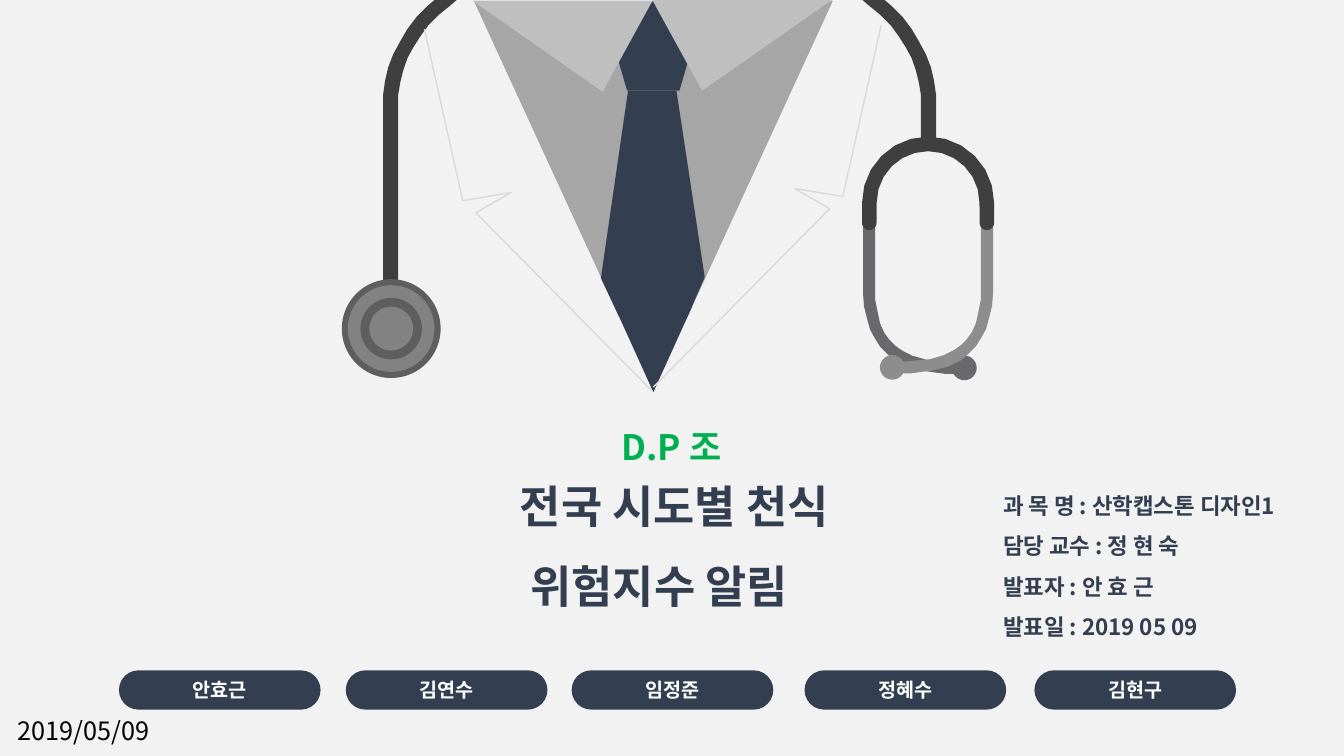
from dataclasses import dataclass
from math import cos, radians, sin

from lxml.etree import SubElement
from pptx import Presentation
from pptx.dml.color import RGBColor
from pptx.enum.shapes import MSO_SHAPE
from pptx.enum.text import MSO_ANCHOR, MSO_AUTO_SIZE, PP_ALIGN
from pptx.oxml.ns import qn
from pptx.shapes.autoshape import Shape
from pptx.shapes.shapetree import GroupShapes, SlideShapes
from pptx.text.text import TextFrame
from pptx.util import Inches, Pt

CELL = Inches(0.1)  # one column or row of the grid
FONT = "Noto Sans CJK KR"
COLOURS = {
    "background": "F2F2F2", "navy": "333F50", "shirt": "A6A6A6", "collar": "BFBFBF",
    "rubber": "3F3F3F", "rim": "5E5E5E", "metal": "828282", "dark steel": "69696B",
    "light steel": "8D8D8E", "seam": "D9D9D9", "green": "00B050", "white": "FFFFFF",
    "black": "000000",
}
Point = tuple[float, float]


@dataclass
class Box:
    column: float
    row: float
    columns: float
    rows: float


@dataclass
class Disc:
    column: float
    row: float
    diameter: float
    colour: str


@dataclass
class Triangle:
    box: Box
    apex: float
    colour: str


@dataclass
class TextBlock:
    box: Box
    text: str
    size: float
    colour: str
    bold: bool = True
    alignment: PP_ALIGN = PP_ALIGN.CENTER
    line_spacing: float = 1.5


CHEST_PIECE = [Disc(38.8, 32.6, 9.8, "rim"), Disc(38.8, 32.6, 8.6, "metal"),
               Disc(38.8, 32.6, 6.1, "rim"), Disc(38.8, 32.6, 4.35, "metal")]
SHIRT = Triangle(Box(47, 0.1, 35.6, 38.7), 0.5, "shirt")
LEFT_COLLAR = Triangle(Box(46.9, 0.1, 17.8, 9), 0.277, "collar")
RIGHT_COLLAR = Triangle(Box(64.7, 0, 17.8, 9), 0.723, "collar")
TIE_TIP = Triangle(Box(61, 30.5, 7.6, 8.4), 0.5, "navy")
TIE_KNOT = Box(60.6, 0.1, 8.4, 8.9)
TIE = [(62.3, 9), (67.1, 9), (69.9, 27.5), (68.2, 31.4), (61.4, 31.4), (59.6, 27.6)]
LAPEL = [(42.1, 2.9), (45.9, 19.9), (50.7, 19.1), (47.2, 21.1), (64.7, 38.8)]
TUBE_OUTER = [(38, 10), (38, 9.4), (38.2, 8), (38.5, 6.7), (39, 5.4), (39.7, 4.1),
              (40.4, 2.9), (41.3, 1.7), (42.4, 0.6), (43.1, 0)]
TUBE_INNER = [(45.3, 0), (44.6, 0.6), (43.5, 1.5), (42.5, 2.5), (41.7, 3.6), (41, 4.7),
              (40.4, 5.8), (40, 7), (39.7, 8.2), (39.5, 9.4), (39.5, 10)]
EAR_LEG = [(95.6, 37.1), (93.8, 37.1), (91.6, 36.8), (90, 36.4), (88.8, 35.8), (88.1, 35.2),
           (87.3, 34.4), (86.8, 33.6), (86.3, 32.7), (86, 31.6), (85.7, 30.4), (85.6, 29.1),
           (85.6, 22.1), (86.8, 22.1), (86.8, 29.7), (87.1, 31.2), (87.3, 32.1), (87.7, 33),
           (88.2, 33.7), (88.8, 34.3), (89.5, 34.8), (90.5, 35.3), (91.9, 35.7), (94.1, 35.9),
           (95.6, 35.9)]
TUBE_AXIS, EAR_AXIS, LAPEL_AXIS = 65.42, 92.05, 64.75

TITLE = TextBlock(Box(31.9, 44.3, 67, 17.2), "전국 시도별 천식\n위험지수 알림", 32, "navy")
TEAM = TextBlock(Box(57.4, 39.6, 18.4, 7.2), "D.P 조", 25, "green")
COURSE = TextBlock(
    Box(98.5, 47, 34, 23.2),
    "과 목 명 : 산학캡스톤 디자인1\n담당 교수 : 정 현 숙\n발표자 : 안 효 근\n발표일 : 2019 05 09",
    16, "navy", alignment=PP_ALIGN.LEFT)
DATE = TextBlock(Box(0.8, 70.5, 19.3, 4), "2019/05/09", 18, "black", False, PP_ALIGN.LEFT, 1)
MEMBER_COLUMNS = {"안효근": 11.8, "김연수": 34.3, "임정준": 56.7, "정혜수": 79.8, "김현구": 102.6}


def rgb(colour: str) -> RGBColor:
    return RGBColor.from_string(COLOURS[colour])


def place(box: Box) -> list[int]:
    return [round(length * CELL) for length in (box.column, box.row, box.columns, box.rows)]


def mirror(points: list[Point], axis: float, rise: float = 0) -> list[Point]:
    """Reflect points in a vertical axis and lift them by rise rows."""
    return [(2 * axis - column, row - rise) for column, row in points]


def arc(column: float, row: float, radius: float, start: int, end: int) -> list[Point]:
    """Points every 15 degrees, with 0 at the right and 90 at the top."""
    step = 15 if end > start else -15
    return [(column + radius * cos(radians(angle)), row - radius * sin(radians(angle)))
            for angle in range(start, end + step, step)]


def paint(shape: Shape, colour: str) -> None:
    shape.shadow.inherit = False
    shape.fill.solid()
    shape.fill.fore_color.rgb = rgb(colour)
    shape.line.fill.background()


def draw_preset(shapes: GroupShapes | SlideShapes, preset: MSO_SHAPE, box: Box, colour: str) -> Shape:
    shape = shapes.add_shape(preset, *place(box))
    paint(shape, colour)
    return shape


def draw_outline(shapes: GroupShapes, points: list[Point], colour: str, closed: bool = True) -> None:
    """Draw a filled outline, or a thin open line if not closed."""
    first, *others = [(round(column * CELL), round(row * CELL)) for column, row in points]
    builder = shapes.build_freeform(*first)
    builder.add_line_segments(others, close=closed)
    shape = builder.convert_to_shape()
    paint(shape, colour)
    if not closed:
        shape.fill.background()
        shape.line.color.rgb = rgb(colour)
        shape.line.width = Pt(1)


def draw_triangle(shapes: GroupShapes, triangle: Triangle) -> None:
    """Draw a triangle that points down."""
    shape = draw_preset(shapes, MSO_SHAPE.ISOSCELES_TRIANGLE, triangle.box, triangle.colour)
    shape.adjustments[0] = triangle.apex
    shape.rotation = 180


def draw_disc(shapes: GroupShapes, disc: Disc) -> None:
    radius = disc.diameter / 2
    box = Box(disc.column - radius, disc.row - radius, disc.diameter, disc.diameter)
    draw_preset(shapes, MSO_SHAPE.OVAL, box, disc.colour)


def draw_doctor(shapes: GroupShapes) -> None:
    draw_triangle(shapes, SHIRT)
    draw_preset(shapes, MSO_SHAPE.REGULAR_PENTAGON, TIE_KNOT, "navy")
    draw_outline(shapes, TIE, "navy")
    draw_triangle(shapes, LEFT_COLLAR)
    left_tube = TUBE_OUTER + TUBE_INNER + [(39.5, 35.1), (38, 35.1)]
    right_tube = TUBE_OUTER + TUBE_INNER + [(39.5, 14.7), (38, 14.7)]
    draw_outline(shapes, left_tube, "rubber")
    draw_outline(shapes, mirror(right_tube, TUBE_AXIS), "rubber")
    for disc in CHEST_PIECE:
        draw_disc(shapes, disc)
    draw_outline(shapes, EAR_LEG, "dark steel")
    draw_disc(shapes, Disc(95.65, 36.5, 2.45, "dark steel"))
    draw_outline(shapes, mirror(EAR_LEG, EAR_AXIS, 0.05), "light steel")
    draw_disc(shapes, Disc(88.5, 36.45, 2.45, "light steel"))
    yoke = (arc(EAR_AXIS, 20.1, 6.55, 180, 0) + arc(97.88, 22.1, 0.72, 0, -180)
            + arc(EAR_AXIS, 20.1, 5.1, 0, 180) + arc(86.22, 22.1, 0.72, 0, -180))
    draw_outline(shapes, yoke, "rubber")
    draw_triangle(shapes, RIGHT_COLLAR)
    draw_triangle(shapes, TIE_TIP)
    draw_outline(shapes, LAPEL, "seam", closed=False)
    draw_outline(shapes, mirror(LAPEL, LAPEL_AXIS, 0.4), "seam", closed=False)


def write(text_frame: TextFrame, block: TextBlock) -> None:
    text_frame.word_wrap = True
    text_frame.text = block.text
    for paragraph in text_frame.paragraphs:
        paragraph.alignment = block.alignment
        paragraph.line_spacing = block.line_spacing
        for run in paragraph.runs:
            run.font.size = Pt(block.size)
            run.font.bold = block.bold
            run.font.color.rgb = rgb(block.colour)
            run.font.name = FONT
            SubElement(run.font._element, qn("a:ea")).set("typeface", FONT)


def draw_text(shapes: SlideShapes, block: TextBlock) -> Shape:
    shape = shapes.add_textbox(*place(block.box))
    write(shape.text_frame, block)
    shape.text_frame.auto_size = MSO_AUTO_SIZE.SHAPE_TO_FIT_TEXT
    return shape


def draw_member(shapes: SlideShapes, name: str, column: float) -> None:
    box = Box(column, 66.5, 20, 3.9)
    pill = draw_preset(shapes, MSO_SHAPE.ROUNDED_RECTANGLE, box, "navy")
    pill.adjustments[0] = 0.5
    write(pill.text_frame, TextBlock(box, name, 14, "white", line_spacing=1))
    pill.text_frame.vertical_anchor = MSO_ANCHOR.MIDDLE


def main() -> None:
    presentation = Presentation()
    presentation.slide_width, presentation.slide_height = Inches(13.33), Inches(7.5)
    slide = presentation.slides.add_slide(presentation.slide_layouts[6])
    slide.background.fill.solid()
    slide.background.fill.fore_color.rgb = rgb("background")
    draw_doctor(slide.shapes.add_group_shape().shapes)
    title = draw_text(slide.shapes, TITLE)
    first_line = title.text_frame.paragraphs[0]
    first_line._p.get_or_add_pPr().set("marL", str(3 * CELL))
    for name, column in MEMBER_COLUMNS.items():
        draw_member(slide.shapes, name, column)
    for block in (TEAM, COURSE, DATE):
        draw_text(slide.shapes, block)
    presentation.save("out.pptx")


if __name__ == "__main__":
    main()
